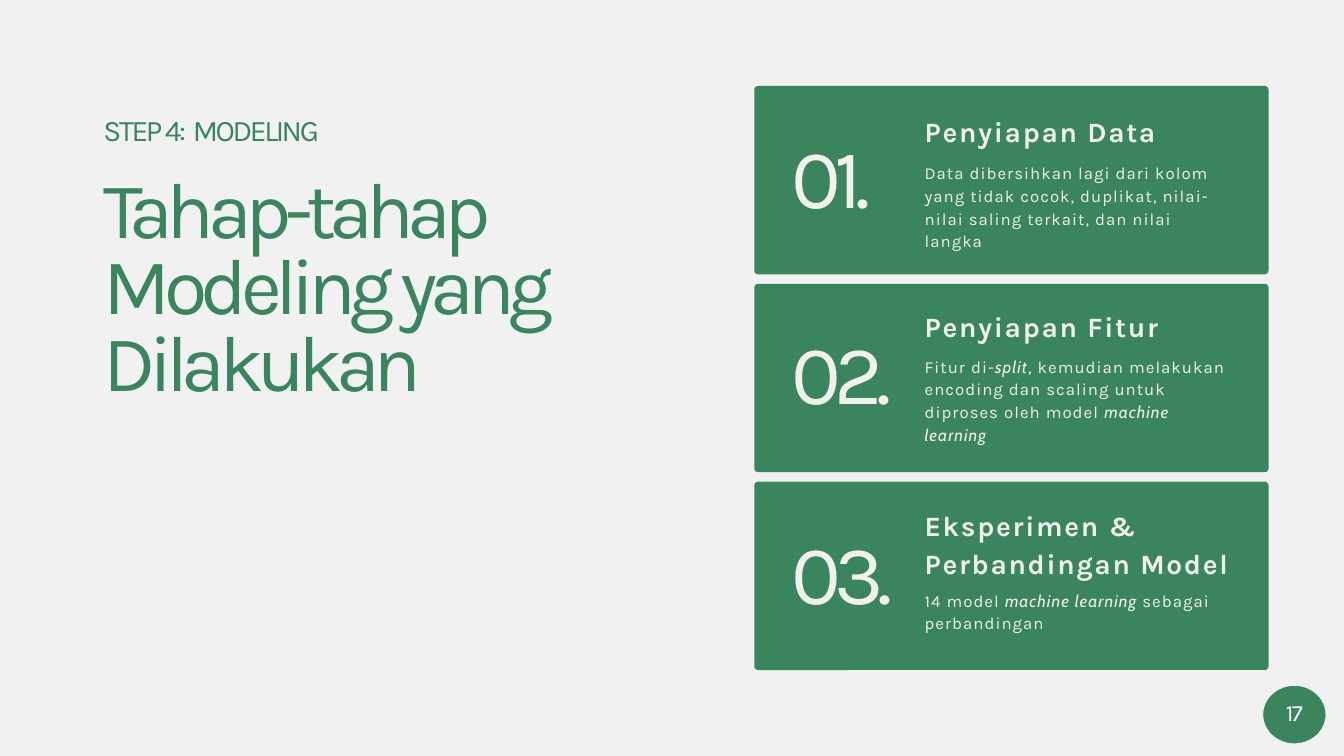
import dataclasses

import pptx
import pptx.dml.color
import pptx.enum.shapes
import pptx.enum.text
import pptx.util

Cm = pptx.util.Cm
Pt = pptx.util.Pt
Align = pptx.enum.text.PP_ALIGN
Shape = pptx.enum.shapes.MSO_SHAPE


@dataclasses.dataclass(frozen=True)
class Style:
    size: float
    lead: float
    track: float
    color: str
    bold: bool = False


class Theme:
    back = "F1F1F1"
    green = "3A855D"
    cream = "F1F0EC"
    font = "Karla"
    slant = "Cabin"
    label = Style(32, 30.7, -2.6, green)
    title = Style(85, 81.6, -7, green)
    number = Style(90, 86.4, -7.4, cream)
    head = Style(30, 40.5, 1.8, cream, True)
    body = Style(18, 24.3, 1.1, cream)
    page = Style(25, 19.2, -2, "FFFFFF")


# Each card: number, heading, body runs (text, italic), tops of the three
# texts, heading alignment and body width, all lengths in cm
CARDS = [
    ("01.", "Penyiapan Data",
     [("Data dibersihkan lagi dari kolom yang tidak cocok, duplikat, "
       "nilai-nilai saling terkait, dan nilai langka", False)],
     (5.46, 4.16, 6.07), Align.JUSTIFY, 11.48),
    ("02.", "Penyiapan Fitur",
     [("Fitur di-", False), ("split", True),
      (", kemudian melakukan encoding dan scaling untuk diproses oleh model ",
       False),
      ("machine learning", True)],
     (12.88, 11.53, 13.38), Align.JUSTIFY, 11.48),
    ("03.", "Eksperimen & Perbandingan Model",
     [("14 model ", False), ("machine learning ", True),
      ("sebagai perbandingan", False)],
     (20.44, 19.08, 22.23), Align.LEFT, 12.24),
]


def tint(code):
    return pptx.dml.color.RGBColor.from_string(code)


def write(frame, runs, style, align=Align.LEFT):
    frame.word_wrap = True
    frame.margin_left = frame.margin_right = 0
    frame.margin_top = frame.margin_bottom = 0
    para = frame.paragraphs[0]
    para.alignment = align
    para.line_spacing = Pt(style.lead)
    for text, slant in runs:
        run = para.add_run()
        run.text = text
        font = run.font
        font.name = Theme.slant if slant else Theme.font
        font.size = Pt(style.size)
        font.bold = style.bold
        font.italic = slant
        font.color.rgb = tint(style.color)
        # Letter spacing in hundredths of a point
        run._r.get_or_add_rPr().set("spc", str(round(style.track * 100)))


def add_text(slide, box, runs, style, align=Align.LEFT):
    frame = slide.shapes.add_textbox(*map(Cm, box)).text_frame
    write(frame, runs, style, align)
    frame.auto_size = pptx.enum.text.MSO_AUTO_SIZE.SHAPE_TO_FIT_TEXT


def add_block(slide, kind, box):
    block = slide.shapes.add_shape(kind, *map(Cm, box))
    block.shadow.inherit = False
    block.fill.solid()
    block.fill.fore_color.rgb = tint(Theme.green)
    block.line.fill.background()
    return block


def add_card(slide, top, card):
    number, head, body, tops, align, width = card
    panel = add_block(slide, Shape.ROUNDED_RECTANGLE, (28.51, top, 19.44, 7.12))
    panel.adjustments[0] = 0.02
    add_text(slide, (29.92, tops[0], 4.39, 3.25), [(number, False)], Theme.number)
    # The heading is wide enough for "Perbandingan Model" on one line
    add_text(slide, (34.95, tops[1], 12, 1.4), [(head, False)],
             Theme.head, align)
    add_text(slide, (34.95, tops[2], width, 3.38), body, Theme.body)


def add_badge(slide, text):
    badge = add_block(slide, Shape.OVAL, (47.68, 25.86, 2.49, 2.31))
    badge.line.color.rgb = tint(Theme.cream)
    badge.line.width = Pt(3.75)
    frame = badge.text_frame
    write(frame, [(text, False)], Theme.page, Align.CENTER)
    frame.margin_top = Cm(0.2)
    frame.vertical_anchor = pptx.enum.text.MSO_ANCHOR.MIDDLE


def main():
    deck = pptx.Presentation()
    deck.slide_width, deck.slide_height = Cm(50.8), Cm(28.58)
    slide = deck.slides.add_slide(deck.slide_layouts[6])
    fill = slide.background.fill
    fill.solid()
    fill.fore_color.rgb = tint(Theme.back)

    # Heading on the left
    add_text(slide, (3.91, 4.49, 22.94, 1.14),
             [("STEP 4:  MODELING", False)], Theme.label)
    add_text(slide, (3.91, 6.75, 22.86, 8.76),
             [("Tahap-tahap Modeling yang Dilakukan", False)], Theme.title)

    # Stack of step cards on the right
    for row, card in enumerate(CARDS):
        add_card(slide, 3.25 + 7.48 * row, card)

    # Page number
    add_badge(slide, "17")
    deck.save("out.pptx")


if __name__ == "__main__":
    main()
